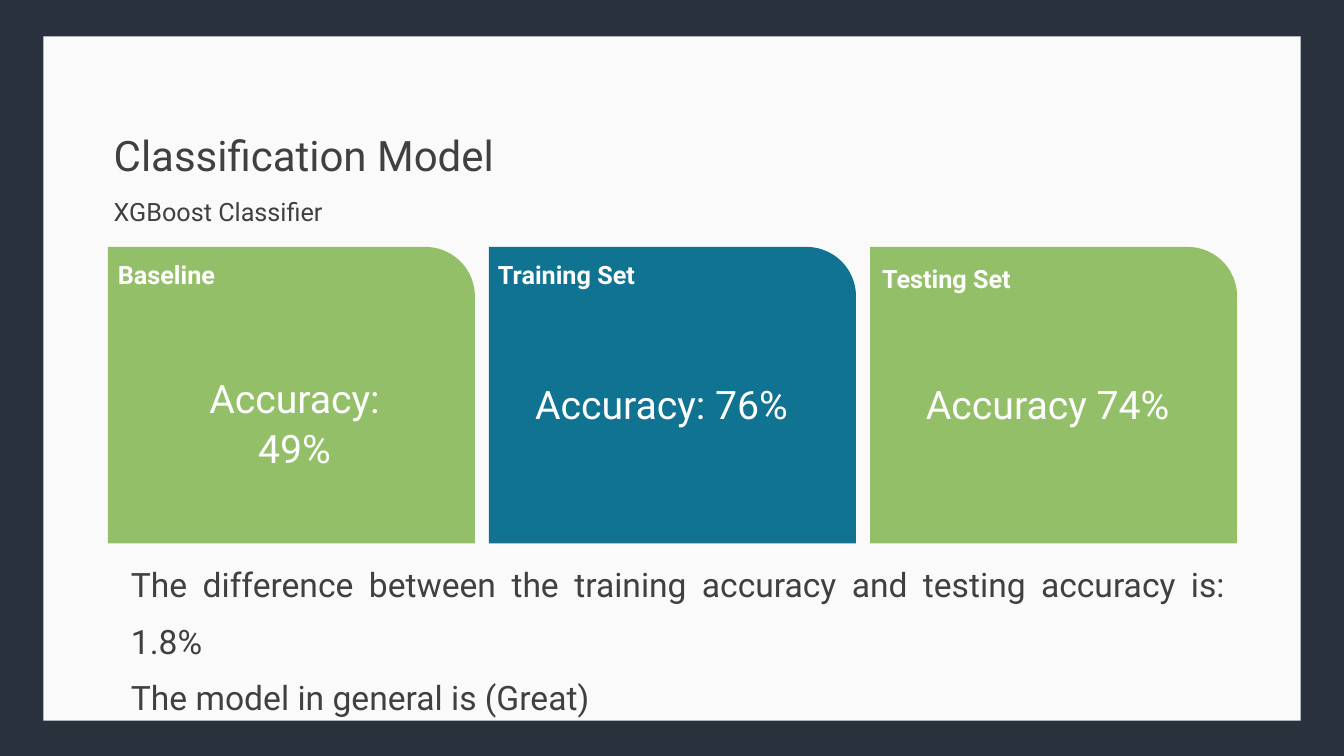
from pptx import Presentation
from pptx.dml.color import RGBColor
from pptx.enum.shapes import MSO_SHAPE
from pptx.enum.text import MSO_ANCHOR, PP_ALIGN
from pptx.util import Emu, Pt

COLORS = {
    "frame": "28313C",
    "panel": "FAFAFA",
    "green": "94BF69",
    "blue": "117392",
    "ink": "404040",
    "white": "FFFFFF",
}
FONT = "Roboto"
CARD_LEFT, CARD_TOP, CARD_W, CARD_H = 107, 245, 364, 294
CARD_STEP = 378
CARDS = [
    ("green", "Baseline", (107, 250), "Accuracy: 49%", (108, 363, 318, 68), 1.07, 60),
    ("blue", "Training Set", (484, 250), "Accuracy: 76%", (474, 349, 364, 132), 1.5, 10),
    ("green", "Testing Set", (865, 254), "Accuracy 74%", (878, 349, 322, 107), 1.5, 10),
]
FINDINGS = [
    "The difference between the training accuracy and testing accuracy is: 1.8%",
    "The model in general is (Great)",
]


def px(n):
    return Emu(n * 9144)


def rgb(name):
    return RGBColor.from_string(COLORS[name])


def add_block(s, kind, box, color):
    sp = s.shapes.add_shape(kind, *map(px, box))
    sp.shadow.inherit = False
    sp.fill.solid()
    sp.fill.fore_color.rgb = rgb(color)
    sp.line.fill.background()


def add_text(s, box, lines, size, color, bold=False, align=PP_ALIGN.LEFT,
             spacing=1.0, anchor=MSO_ANCHOR.TOP, left_inset=10):
    tf = s.shapes.add_textbox(*map(px, box)).text_frame
    tf.word_wrap = True
    tf.vertical_anchor = anchor
    tf.margin_left = px(left_inset)
    for i, line in enumerate(lines):
        p = tf.add_paragraph() if i else tf.paragraphs[0]
        p.alignment = align
        p.line_spacing = spacing
        r = p.add_run()
        r.text = line
        r.font.name = FONT
        r.font.size = Pt(size)
        r.font.bold = bold
        r.font.color.rgb = rgb(color)


def add_card(s, i, color, label, label_at, score, score_box, spacing, inset):
    box = (CARD_LEFT + i * CARD_STEP, CARD_TOP, CARD_W, CARD_H)
    add_block(s, MSO_SHAPE.ROUND_1_RECTANGLE, box, color)
    add_text(s, score_box, [score], 28, "white", align=PP_ALIGN.CENTER,
             spacing=spacing, left_inset=inset)
    add_text(s, (*label_at, 269, 42), [label], 18, "white", bold=True,
             anchor=MSO_ANCHOR.BOTTOM)


def main():
    prs = Presentation()
    prs.slide_width, prs.slide_height = px(1333), px(750)
    s = prs.slides.add_slide(prs.slide_layouts[6])
    s.background.fill.solid()
    s.background.fill.fore_color.rgb = rgb("frame")
    add_block(s, MSO_SHAPE.RECTANGLE, (43, 36, 1247, 679), "panel")
    add_text(s, (103, 124, 490, 60), ["Classification Model"], 30, "ink")
    add_text(s, (103, 190, 397, 40), ["XGBoost Classifier"], 18, "ink")
    for i, card in enumerate(CARDS):
        add_card(s, i, *card)
    add_text(s, (120, 539, 1105, 114), FINDINGS, 24, "ink",
             align=PP_ALIGN.JUSTIFY, spacing=1.4)
    prs.save("out.pptx")


if __name__ == "__main__":
    main()
